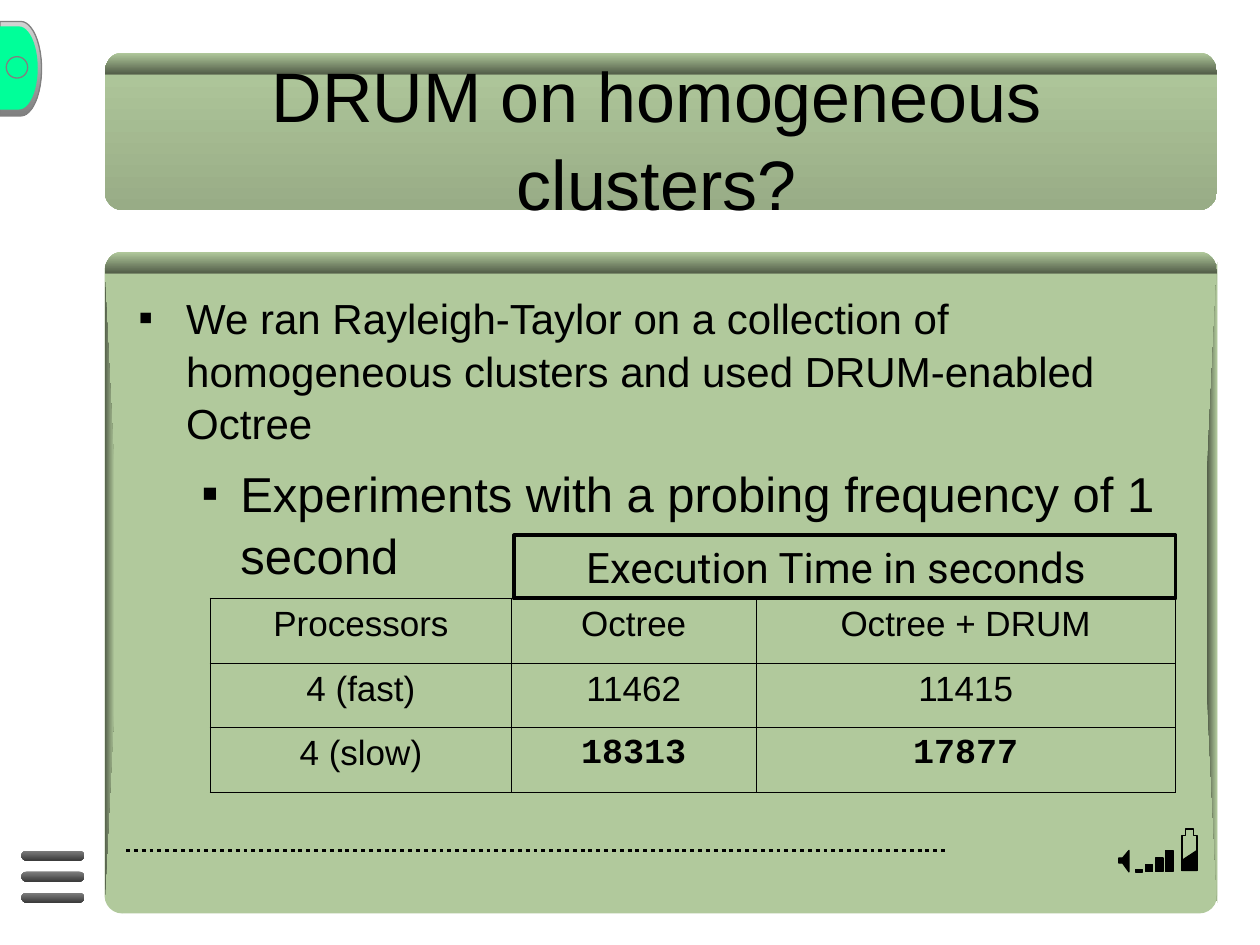
from dataclasses import dataclass
from math import cos, pi, sin

from pptx import Presentation
from pptx.dml.color import RGBColor
from pptx.enum.dml import MSO_LINE
from pptx.enum.shapes import MSO_CONNECTOR, MSO_SHAPE
from pptx.enum.text import MSO_ANCHOR, PP_ALIGN
from pptx.oxml.ns import qn
from pptx.util import Inches, Pt
from lxml.etree import SubElement


@dataclass(frozen=True)
class Theme:
    """Colours, fonts and type sizes of the slide."""
    ink: str = "000000"
    panel: str = "B1C99C"
    panel_low: str = "98AC86"
    shade: str = "515C47"
    gray: str = "808080"
    gray_light: str = "D3D3D3"
    gray_dark: str = "3B3B3B"
    lamp: str = "00FF99"
    font: str = "Arial"
    caption_font: str = "Roboto"
    result_font: str = "Courier New"
    title: int = 40
    sub: int = 28
    body: int = 24
    cell: int = 20


@dataclass(frozen=True)
class Box:
    """A region of the slide in inches."""
    x: float
    y: float
    w: float
    h: float

    def inner(self, dx, dy, w, h):
        """Return a box offset from this one's top left corner."""
        return Box(self.x + dx, self.y + dy, w, h)

    def emu(self):
        """Return left, top, width and height as lengths."""
        return [Inches(v) for v in (self.x, self.y, self.w, self.h)]


T = Theme()
DOWN, ACROSS = 270, 0


def rgb(color):
    """Turn a hex string into a colour."""
    return RGBColor.from_string(color)


def paint(sp, fill=None, line=None, width=0.75, angle=DOWN):
    """Set fill (hex, pair of hex for a gradient, or none) and outline."""
    sp.shadow.inherit = False
    if fill is None:
        sp.fill.background()
    elif isinstance(fill, tuple):
        sp.fill.gradient()
        sp.fill.gradient_angle = angle
        for stop, color in zip(sp.fill.gradient_stops, fill):
            stop.color.rgb = rgb(color)
    else:
        sp.fill.solid()
        sp.fill.fore_color.rgb = rgb(fill)
    if line:
        sp.line.color.rgb = rgb(line)
        sp.line.width = Pt(width)
    else:
        sp.line.fill.background()


def add_preset(s, kind, box, adj=None, **look):
    """Add a painted preset shape."""
    sp = s.shapes.add_shape(kind, *box.emu())
    if adj is not None:
        sp.adjustments[0] = adj
    paint(sp, **look)


def add_outline(s, box, points, **look):
    """Add a painted closed polygon whose points are relative to the box."""
    pts = [(Inches(box.x + x), Inches(box.y + y)) for x, y in points]
    builder = s.shapes.build_freeform(*pts[0])
    builder.add_line_segments(pts[1:], close=True)
    paint(builder.convert_to_shape(), **look)


def add_text(tf, text, size=T.body, font=T.font, bold=False, align=PP_ALIGN.LEFT,
             spacing=None, before=0, bullet=None, indent=(0, 0), first=True):
    """Write one formatted paragraph into a text frame."""
    p = tf.paragraphs[0] if first else tf.add_paragraph()
    p.alignment = align
    if spacing:
        p.line_spacing = spacing
    if before:
        p.space_before = Pt(before)
    if bullet:
        pPr = p._p.get_or_add_pPr()
        pPr.set("marL", str(Inches(indent[0])))
        pPr.set("indent", str(Inches(indent[1])))
        SubElement(pPr, qn("a:buFont"), typeface=T.font)
        SubElement(pPr, qn("a:buChar"), char=bullet)
    r = p.add_run()
    r.text = text
    r.font.size, r.font.name, r.font.bold = Pt(size), font, bold
    r.font.color.rgb = rgb(T.ink)


def text_frame(s, box, anchor=MSO_ANCHOR.TOP, wrap=True):
    """Add a text box and return its frame."""
    tf = s.shapes.add_textbox(*box.emu()).text_frame
    tf.word_wrap, tf.vertical_anchor = wrap, anchor
    return tf


def add_cap(s, box, rx=0.13, ry=0.17, steps=12):
    """Draw the shaded band with rounded upper corners along a panel's top."""
    arc = [(rx * (1 - cos(a)), ry * (1 - sin(a)))
           for a in (pi / 2 * i / steps for i in range(steps + 1))]
    mirrored = [(box.w - x, y) for x, y in reversed(arc)]
    add_outline(s, box, arc + mirrored, fill=(T.panel, T.shade))


def add_body_panel(s, box):
    """Draw the large panel with its shaded sides and top."""
    add_preset(s, MSO_SHAPE.ROUNDED_RECTANGLE, box, adj=0.027, fill=T.panel)
    left = [(0, 5.17), (0, 0.17), (0.08, 1.79), (0.08, 3.54)]
    right = [(box.w - x, y) for x, y in
             [(0, 5.17), (0, 0.08), (0.08, 1.73), (0.08, 3.52)]]
    for side in (left, right):
        add_outline(s, box, side, fill=(T.shade, T.panel), angle=ACROSS)
    add_cap(s, box)


def add_title(s, box):
    """Draw the title panel and its heading."""
    add_preset(s, MSO_SHAPE.ROUNDED_RECTANGLE, box, adj=0.121, fill=(T.panel, T.panel_low))
    add_cap(s, box)
    tf = text_frame(s, box.inner(0.09, 0.16, 8.58, 1), MSO_ANCHOR.MIDDLE)
    add_text(tf, "DRUM on homogeneous clusters?", size=T.title,
             align=PP_ALIGN.CENTER, spacing=1.05)


def add_menu_bars(s, box):
    """Draw three stacked bars."""
    for i in range(3):
        add_preset(s, MSO_SHAPE.ROUNDED_RECTANGLE, box.inner(0, i * box.h / 2.4, box.w, 0.08),
                   adj=0.5, fill=(T.gray, T.gray_dark))


def add_lamp(s, box):
    """Draw the green button at the slide's edge."""
    add_preset(s, MSO_SHAPE.FLOWCHART_DELAY, box, fill=(T.gray_light, T.gray), line=T.gray)
    add_preset(s, MSO_SHAPE.FLOWCHART_DELAY, box.inner(0, 0.04, 0.3, 0.66), fill=T.lamp)
    add_preset(s, MSO_SHAPE.OVAL, box.inner(0.05, 0.28, 0.17, 0.17), fill=T.lamp, line=T.gray)


def add_status(s, box):
    """Draw the dotted rule, speaker, signal bars and battery."""
    y = Inches(box.y + 0.17)
    rule = s.shapes.add_connector(MSO_CONNECTOR.STRAIGHT, Inches(box.x), y,
                                  Inches(box.x + 6.5), y)
    rule.line.color.rgb = rgb(T.ink)
    rule.line.width = Pt(2.25)
    rule.line.dash_style = MSO_LINE.ROUND_DOT
    SubElement(rule._element.spPr, qn("a:effectLst"))
    solid = {"fill": T.ink, "line": T.ink}
    for i, h in enumerate((0.02, 0.06, 0.11, 0.17)):
        add_preset(s, MSO_SHAPE.RECTANGLE,
                   box.inner(8.01 + i * 0.08, box.h - h, 0.06, h), **solid)
    add_outline(s, box.inner(7.88, 0.17, 0.08, 0.17),
                [(0, 0.06), (0.03, 0.06), (0.08, 0), (0.08, 0.17), (0.03, 0.1), (0, 0.1)], **solid)
    battery = box.inner(8.38, 0, 0.12, 0.33)
    add_outline(s, battery, [(0, 0.33), (0, 0.05), (0.03, 0.05), (0.03, 0), (0.09, 0),
                             (0.09, 0.05), (0.12, 0.05), (0.12, 0.33)], line=T.ink)
    add_outline(s, battery, [(0, 0.33), (0, 0.25), (0.12, 0.17), (0.12, 0.33)], **solid)


def add_bullets(s, box):
    """Write the two bullet levels."""
    tf = text_frame(s, box)
    add_text(tf, "We ran Rayleigh-Taylor on a collection of homogeneous clusters "
             "and used DRUM-enabled Octree", spacing=1.05, bullet="▪", indent=(0.38, -0.38))
    add_text(tf, "Experiments with a probing frequency of 1 second", size=T.sub,
             spacing=1.05, before=7, bullet="▪", indent=(0.81, -0.31), first=False)
    tf.paragraphs[1].level = 1


def set_borders(cell, widths):
    """Give a cell its left, right, top and bottom lines in points."""
    tcPr = cell._tc.get_or_add_tcPr()
    for side, width in zip("LRTB", widths):
        ln = SubElement(tcPr, qn(f"a:ln{side}"), w=str(Pt(width)))
        SubElement(SubElement(ln, qn("a:solidFill")), qn("a:srgbClr"), val=T.ink)


def add_results(s, box):
    """Build the timing table with a heavier outer frame."""
    rows = [("Processors", "Octree", "Octree + DRUM"),
            ("4 (fast)", "11462", "11415"), ("4 (slow)", "18313", "17877")]
    tbl = s.shapes.add_table(3, 3, *box.emu()).table
    tbl.first_row = tbl.horz_banding = False
    for col, w in zip(tbl.columns, (2.39, 1.94, 3.33)):
        col.width = Inches(w)
    for i, row in enumerate(rows):
        for j, text in enumerate(row):
            cell = tbl.cell(i, j)
            key = i == 2 and j > 0
            add_text(cell.text_frame, text, size=T.cell, align=PP_ALIGN.CENTER, bold=key,
                     font=T.result_font if key else T.font)
            set_borders(cell, [1.08 if edge else 0.45 for edge in (j == 0, j == 2, i == 0, i == 2)])
            cell.fill.background()


def add_caption(s, box):
    """Frame the heading above the two timing columns."""
    add_preset(s, MSO_SHAPE.RECTANGLE, box, line=T.ink, width=2.25)
    tf = text_frame(s, box.inner(0.39, 0, 4.33, box.h), wrap=False)
    add_text(tf, "Execution Time in seconds", font=T.caption_font, align=PP_ALIGN.CENTER)


def main():
    """Build and save the slide."""
    prs = Presentation()
    prs.slide_width, prs.slide_height = Inches(10), Inches(7.5)
    s = prs.slides.add_slide(prs.slide_layouts[6])
    add_body_panel(s, Box(0.83, 2, 8.83, 5.25))
    add_title(s, Box(0.83, 0.42, 8.83, 1.25))
    add_menu_bars(s, Box(0.17, 6.75, 0.5, 0.4))
    add_status(s, Box(1, 6.58, 8.5, 0.34))
    add_lamp(s, Box(0, 0.17, 0.33, 0.75))
    add_bullets(s, Box(1, 2.25, 8.5, 4.33))
    add_results(s, Box(1.67, 4.75, 7.66, 1.54))
    add_caption(s, Box(4.08, 4.25, 5.25, 0.5))
    prs.save("out.pptx")


if __name__ == "__main__":
    main()
